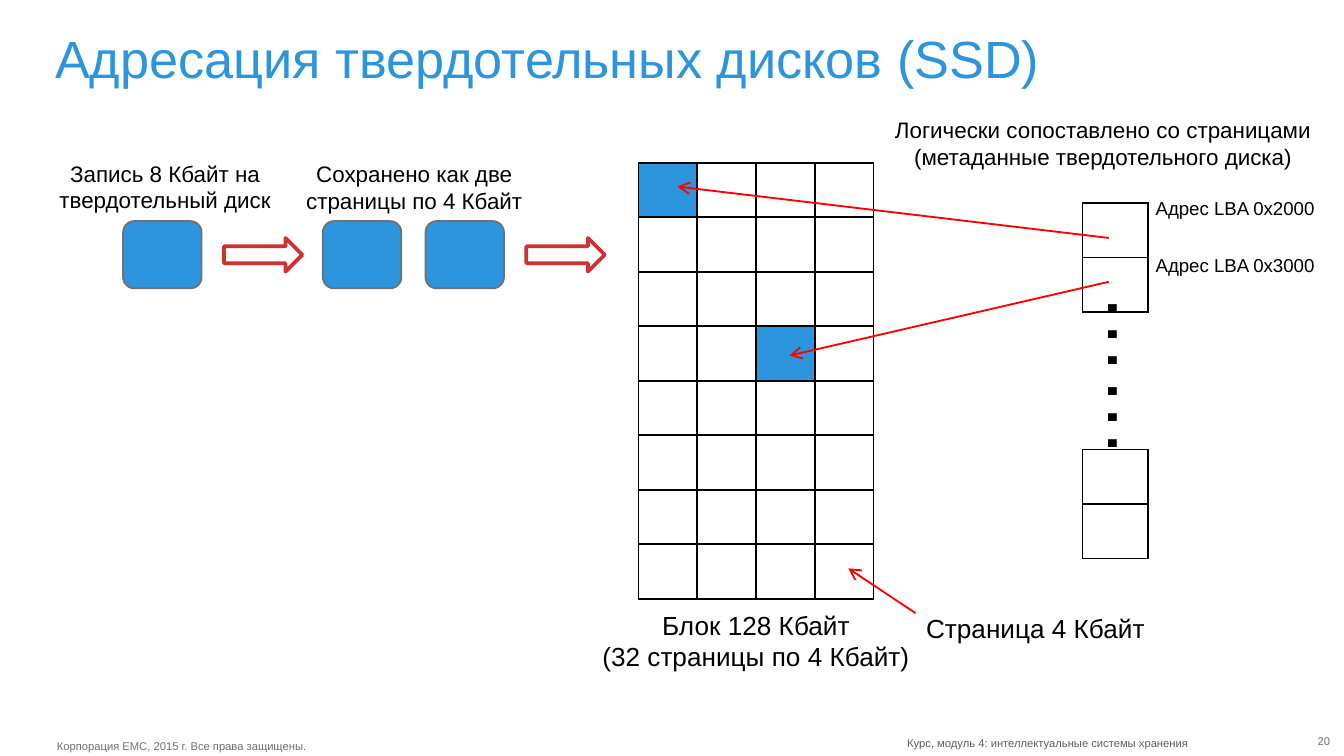
"""Build the slide on SSD addressing: data blocks, page grid and LBA map."""
from dataclasses import dataclass
from typing import Optional

from lxml.etree import SubElement
from pptx import Presentation
from pptx.dml.color import RGBColor
from pptx.enum.shapes import MSO_CONNECTOR, MSO_SHAPE
from pptx.enum.text import MSO_AUTO_SIZE, PP_ALIGN
from pptx.oxml.ns import qn
from pptx.slide import Slide
from pptx.util import Pt


@dataclass(frozen=True)
class Theme:
    font: str = "Arial"
    blue: str = "2C95DD"
    gray: str = "717074"
    slate: str = "5B5E61"
    brick: str = "CE3131"
    red: str = "FF0000"
    black: str = "000000"
    white: str = "FFFFFF"
    title: float = 28
    large: float = 14
    body: float = 12
    small: float = 10
    foot: float = 6
    dots: float = 44


THEME = Theme()


@dataclass(frozen=True)
class Label:
    text: str
    left: float
    top: float
    width: float
    height: float
    size: float
    color: str = THEME.black
    align: PP_ALIGN = PP_ALIGN.LEFT
    wrap: bool = False
    inset: bool = True
    turn: float = 0
    space: Optional[float] = None
    grow: bool = True


@dataclass(frozen=True)
class Block:
    kind: MSO_SHAPE
    left: float
    top: float
    height: float
    fill: str
    line: str
    weight: float
    width: float = 42


@dataclass(frozen=True)
class Grid:
    left: float
    top: float
    rows: int
    cols: int
    width: float
    marks: tuple = ()
    height: float = 28.88


@dataclass(frozen=True)
class Link:
    start: tuple[float, float]
    end: tuple[float, float]


def page(left: float) -> Block:
    return Block(MSO_SHAPE.ROUNDED_RECTANGLE, left, 118.5, 36, THEME.blue, THEME.gray, 1)


def arrow(left: float) -> Block:
    return Block(MSO_SHAPE.RIGHT_ARROW, left, 127.5, 18, THEME.white, THEME.brick, 2)


BLOCKS = [page(66), arrow(120), page(173), page(228), arrow(282)]
GRIDS = [
    Grid(342, 87.2, 8, 4, 31.5, ((0, 0), (3, 2))),
    Grid(580, 108.7, 2, 1, 35),
    Grid(580, 240.9, 2, 1, 35),
]
LINKS = [
    Link((490.5, 328.5), (454.5, 304.5)),
    Link((594, 127.5), (363, 100)),
    Link((594, 151), (423, 190.5)),
]
MID = PP_ALIGN.CENTER
LABELS = [
    Label("Корпорация EMC, 2015 г. Все права защищены.", 30.5, 396, 136, 7.2,
          THEME.foot, THEME.gray, inset=False),
    Label("Курс, модуль 4: интеллектуальные системы хранения", 486, 394.5, 157, 7.2,
          THEME.foot, THEME.slate, inset=False),
    Label("20", 690, 393.2, 22.5, 7.2, THEME.foot, THEME.gray, PP_ALIGN.RIGHT,
          wrap=True, inset=False),
    Label("Адресация твердотельных дисков (SSD)", 29.5, 18, 666, 36, THEME.title,
          THEME.blue, wrap=True, inset=False, space=0.9, grow=False),
    Label("Запись 8 Кбайт на твердотельный диск", 22.5, 82, 132, 36, THEME.body,
          align=MID, wrap=True),
    Label("Сохранено как две страницы по 4 Кбайт", 148.5, 82.4, 147, 36, THEME.body,
          align=MID, wrap=True),
    Label("Логически сопоставлено со страницами (метаданные твердотельного диска)",
          468, 58.6, 246, 36, THEME.body, align=MID, wrap=True),
    Label("Страница 4 Кбайт", 489, 324.3, 132, 24, THEME.large),
    Label("Блок 128 Кбайт\v(32 страницы по 4 Кбайт)", 313.5, 322.7, 183, 41,
          THEME.large, align=MID, wrap=True),
    Label("Адрес LBA 0x2000", 612, 102.2, 101, 19.4, THEME.small),
    Label("Адрес LBA 0x3000", 612, 132.7, 101, 19.4, THEME.small),
    Label("……", 559.4, 172, 103.7, 60.5, THEME.dots, turn=90),
]


def color(code: str) -> RGBColor:
    return RGBColor.from_string(code)


def draw_block(slide: Slide, block: Block) -> None:
    shape = slide.shapes.add_shape(block.kind, Pt(block.left), Pt(block.top),
                                   Pt(block.width), Pt(block.height))
    shape.shadow.inherit = False
    shape.fill.solid()
    shape.fill.fore_color.rgb = color(block.fill)
    shape.line.color.rgb = color(block.line)
    shape.line.width = Pt(block.weight)


def draw_grid(slide: Slide, grid: Grid) -> None:
    table = slide.shapes.add_table(
        grid.rows, grid.cols, Pt(grid.left), Pt(grid.top),
        Pt(grid.cols * grid.width), Pt(grid.rows * grid.height)).table
    table.first_row = table.horz_banding = False
    for col in table.columns:
        col.width = Pt(grid.width)
    for row in table.rows:
        row.height = Pt(grid.height)
    for row in range(grid.rows):
        for col in range(grid.cols):
            cell = table.cell(row, col)
            props = cell._tc.get_or_add_tcPr()
            for side in ("a:lnL", "a:lnR", "a:lnT", "a:lnB"):
                edge = SubElement(props, qn(side), w=str(Pt(1)))
                fill = SubElement(edge, qn("a:solidFill"))
                SubElement(fill, qn("a:srgbClr"), val=THEME.black)
            if (row, col) in grid.marks:
                cell.fill.solid()
                cell.fill.fore_color.rgb = color(THEME.blue)
            else:
                cell.fill.background()


def draw_link(slide: Slide, link: Link) -> None:
    ends = [Pt(value) for value in link.start + link.end]
    line = slide.shapes.add_connector(MSO_CONNECTOR.STRAIGHT, *ends)
    line.line.color.rgb = color(THEME.red)
    line.line.width = Pt(1)
    SubElement(line.line._get_or_add_ln(), qn("a:tailEnd"), type="arrow")
    SubElement(line._element.spPr, qn("a:effectLst"))


def draw_label(slide: Slide, label: Label) -> None:
    box = slide.shapes.add_textbox(Pt(label.left), Pt(label.top),
                                   Pt(label.width), Pt(label.height))
    box.rotation = label.turn
    frame = box.text_frame
    frame.word_wrap = label.wrap
    frame.auto_size = MSO_AUTO_SIZE.SHAPE_TO_FIT_TEXT if label.grow else MSO_AUTO_SIZE.NONE
    if not label.inset:
        frame.margin_left = frame.margin_right = frame.margin_top = frame.margin_bottom = 0
    para = frame.paragraphs[0]
    para.text = label.text
    para.alignment = label.align
    if label.space:
        para.line_spacing = label.space
    for run in para.runs:
        run.font.name = THEME.font
        run.font.size = Pt(label.size)
        run.font.color.rgb = color(label.color)


def main() -> None:
    deck = Presentation()
    deck.slide_width, deck.slide_height = Pt(720), Pt(405)
    slide = deck.slides.add_slide(deck.slide_layouts[6])
    for items, draw in ((BLOCKS, draw_block), (GRIDS, draw_grid),
                        (LINKS, draw_link), (LABELS, draw_label)):
        for item in items:
            draw(slide, item)
    deck.save("out.pptx")


if __name__ == "__main__":
    main()
